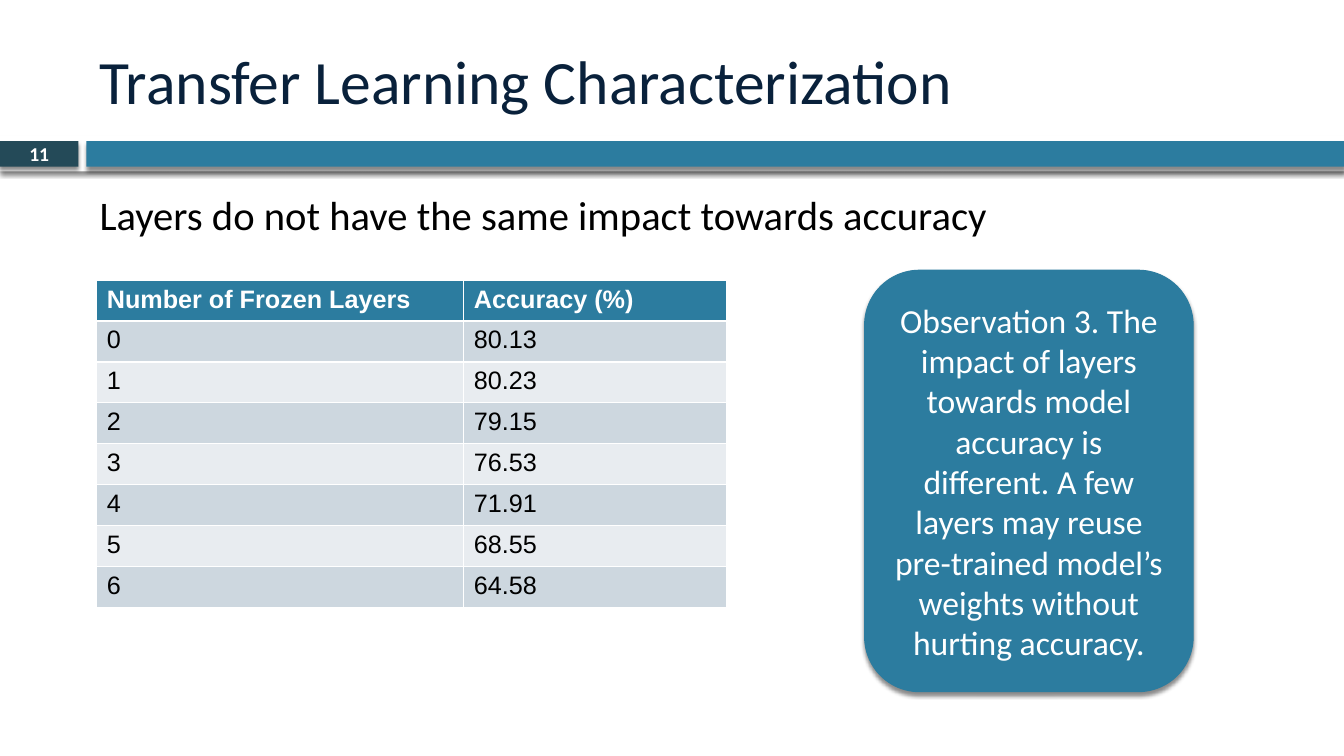
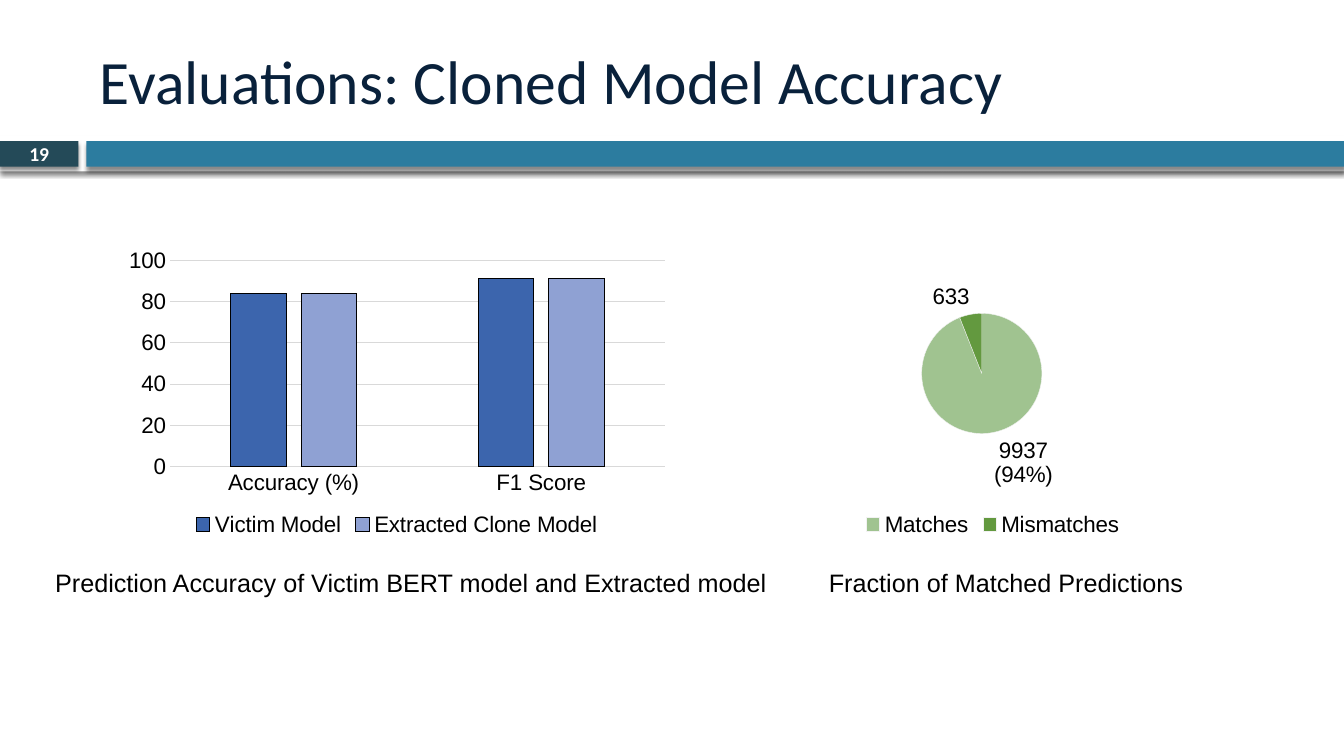
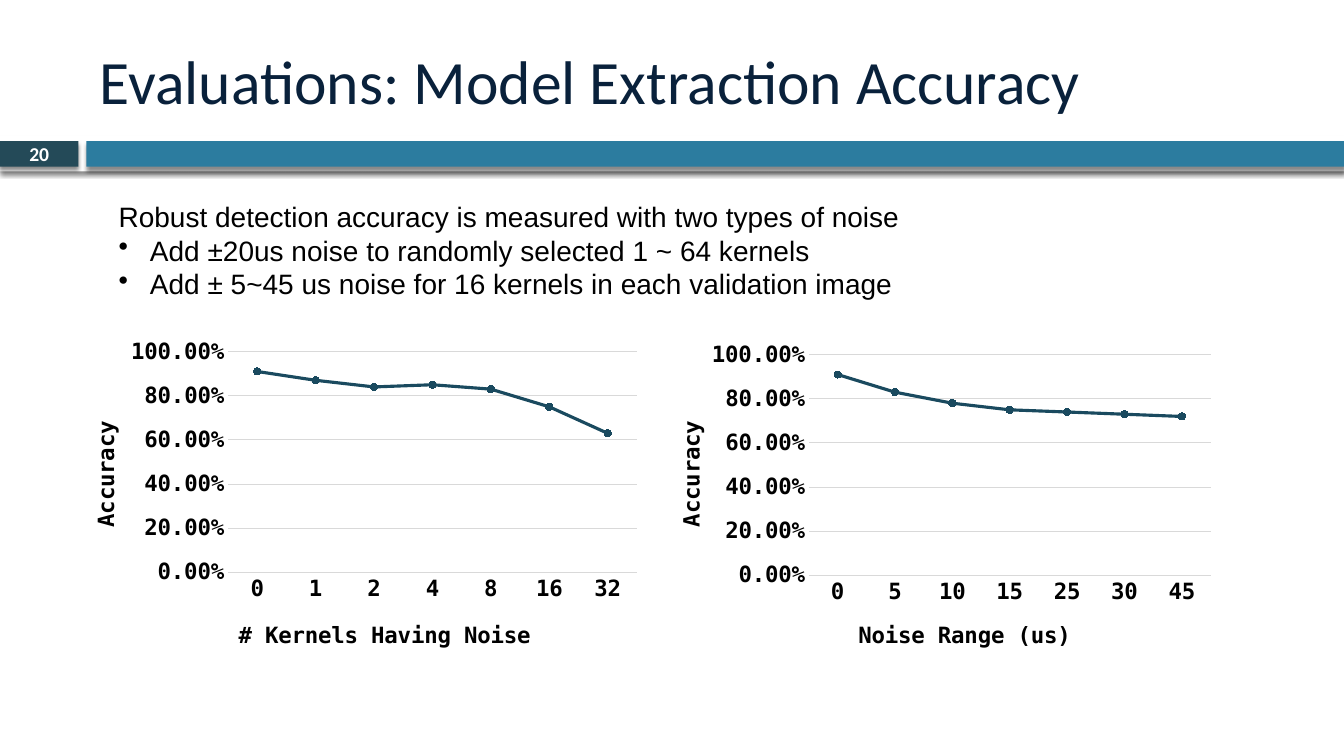
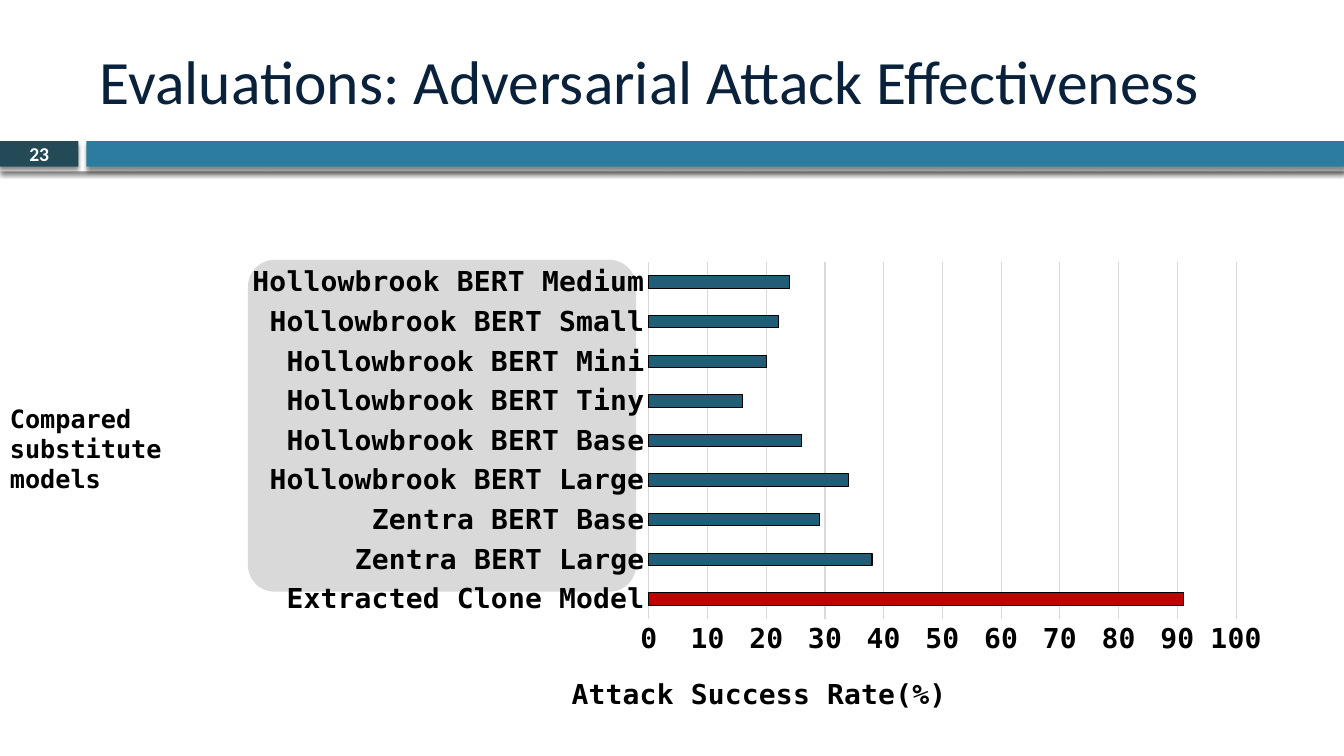
"""Builds four slides on transfer learning and model extraction results."""
from lxml import etree
from pptx import Presentation
from pptx.chart.data import CategoryChartData
from pptx.dml.color import RGBColor
from pptx.enum.chart import XL_CHART_TYPE, XL_LABEL_POSITION, XL_LEGEND_POSITION, XL_MARKER_STYLE, XL_TICK_MARK
from pptx.enum.shapes import MSO_SHAPE
from pptx.enum.text import MSO_ANCHOR, PP_ALIGN
from pptx.oxml import parse_xml
from pptx.oxml.ns import nsdecls, qn
from pptx.util import Cm, Pt

COLUMN, BAR = XL_CHART_TYPE.COLUMN_CLUSTERED, XL_CHART_TYPE.BAR_CLUSTERED
LINE, PIE = XL_CHART_TYPE.LINE_MARKERS, XL_CHART_TYPE.PIE
BEST_FIT, BOTTOM = XL_LABEL_POSITION.BEST_FIT, XL_LEGEND_POSITION.BOTTOM
CIRCLE, NO_TICK = XL_MARKER_STYLE.CIRCLE, XL_TICK_MARK.NONE
RECTANGLE, ROUNDED = MSO_SHAPE.RECTANGLE, MSO_SHAPE.ROUNDED_RECTANGLE
LEFT, CENTER = PP_ALIGN.LEFT, PP_ALIGN.CENTER
TOP, MIDDLE = MSO_ANCHOR.TOP, MSO_ANCHOR.MIDDLE

BLACK, WHITE, TEAL, DARK_TEAL, NAVY = "000000", "FFFFFF", "2C7C9F", "244A58", "09213B"
GRID, CURVE, BARS, RED = "D9D9D9", "1A4A5F", "215D77", "C00000"
HEADING, BODY, MONO = "Calibri", "Arial", "DejaVu Sans Mono"


def color(target, value):
    """Give a fill, or the colour of a font, one solid colour."""
    if hasattr(target, "solid"):
        target.solid()
        target.fore_color.rgb = RGBColor.from_string(value)
    else:
        target.color.rgb = RGBColor.from_string(value)


def add_chart(slide, kind, box, categories, series, font, size, bold=False):
    """Add a transparent chart without a title and return it."""
    data = CategoryChartData()
    data.categories = categories
    for name, values in series.items():
        data.add_series(name, values)
    chart = slide.shapes.add_chart(kind, *map(Cm, box), data).chart
    chart.has_title = False
    chart.has_legend = False
    chart.font.name, chart.font.size, chart.font.bold = font, Pt(size), bold
    color(chart.font, BLACK)
    chart.plots[0].vary_by_categories = kind == PIE
    chart.element.find(qn("c:chart")).addnext(parse_xml(
        f'<c:spPr {nsdecls("c", "a")}><a:noFill/><a:ln><a:noFill/></a:ln></c:spPr>'))
    return chart


presentation = Presentation()
presentation.slide_width, presentation.slide_height = Cm(33.87), Cm(19.05)
layout = presentation.slide_layouts[5]

headings = {
    11: "Transfer Learning Characterization",
    19: "Evaluations: Cloned Model Accuracy",
    20: "Evaluations: Model Extraction Accuracy",
    23: "Evaluations: Adversarial Attack Effectiveness",
}
texts = []
for number, heading in headings.items():
    slide = presentation.slides.add_slide(layout)
    title = slide.shapes.title
    title.left, title.top, title.width, title.height = map(Cm, (2.26, 0.64, 30.2, 2.74))
    title.text_frame.text = heading
    title.text_frame.vertical_anchor = MIDDLE
    paragraph = title.text_frame.paragraphs[0]
    paragraph.alignment = LEFT
    paragraph.font.name, paragraph.font.size = HEADING, Pt(44)
    color(paragraph.font, NAVY)
    texts.append((slide, (0, 3.53, 1.98, 0.69), [str(number)], HEADING, 14, True, WHITE, CENTER, MIDDLE))
layers_slide, clone_slide, noise_slide, attack_slide = presentation.slides

shadowed = []
for box, fill in [
    ((0, 3.43, 33.87, 0.89), WHITE),
    ((0, 3.56, 1.98, 0.64), DARK_TEAL),
    ((2.18, 3.56, 31.69, 0.64), TEAL),
]:
    band = layers_slide.shapes.add_shape(RECTANGLE, *map(Cm, box))
    color(band.fill, fill)
    band.line.fill.background()
    layout.shapes.element.append(band.element)
    shadowed.append(band)

observation = layers_slide.shapes.add_shape(ROUNDED, Cm(21.79), Cm(6.81), Cm(8.28), Cm(10.62))
color(observation.fill, TEAL)
color(observation.line.fill, TEAL)
observation.line.width = Pt(0.75)
observation.text_frame.word_wrap = True
observation.text_frame.vertical_anchor = MIDDLE
observation.text_frame.text = (
    "Observation 3. The impact of layers towards model accuracy is different. "
    "A few layers may reuse pre-trained model’s weights without hurting accuracy.")
paragraph = observation.text_frame.paragraphs[0]
paragraph.alignment = CENTER
paragraph.font.name, paragraph.font.size = HEADING, Pt(24)
color(paragraph.font, WHITE)
shadowed.append(observation)

for shape in shadowed:
    shape.shadow.inherit = False
    shape.element.spPr.find(qn("a:effectLst")).append(parse_xml(
        f'<a:outerShdw {nsdecls("a")} blurRad="38100" dist="30480" dir="5400000" rotWithShape="0">'
        '<a:srgbClr val="000000"><a:alpha val="45000"/></a:srgbClr></a:outerShdw>'))

accuracies = ["80.13", "80.23", "79.15", "76.53", "71.91", "68.55", "64.58"]
rows = [("Number of Frozen Layers", "Accuracy (%)")]
rows += [(str(frozen), accuracy) for frozen, accuracy in enumerate(accuracies)]
table = layers_slide.shapes.add_table(
    len(rows), 2, Cm(2.44), Cm(7.06), Cm(15.87), Cm(1.03 * len(rows))).table
table.columns[0].width, table.columns[1].width = Cm(9.25), Cm(6.62)
for row_index, row in enumerate(rows):
    for column_index, value in enumerate(row):
        cell = table.cell(row_index, column_index)
        cell.text = value
        color(cell.fill, TEAL if row_index == 0 else ("E8ECF0", "CDD7DF")[row_index % 2])
        font = cell.text_frame.paragraphs[0].font
        font.name, font.size, font.bold = BODY, Pt(18), row_index == 0
        color(font, BLACK if row_index else WHITE)

columns = add_chart(
    clone_slide, COLUMN, (2.97, 6.1, 14.07, 7.54), ["Accuracy (%)", "F1 Score"],
    {"Victim Model": [84, 91], "Extracted Clone Model": [84, 91]}, BODY, 16)
columns.plots[0].gap_width, columns.plots[0].overlap = 219, -27
for series, fill in zip(columns.plots[0].series, ("3C65AD", "8FA1D3")):
    color(series.format.fill, fill)
    color(series.format.line.fill, BLACK)
    series.format.line.width = Pt(0)

pie = add_chart(
    clone_slide, PIE, (20.7, 6.81, 8.64, 6.83), ["Matches", "Mismatches"],
    {"Series 1": [9937, 633]}, BODY, 16)
slices = pie.plots[0].series[0]
for index, fill in enumerate(("A0C390", "63993F")):
    point = slices.points[index]
    color(point.format.fill, fill)
    color(point.format.line.fill, "F2F2F2")
    point.format.line.width = Pt(0.25)
slices.data_labels.show_value = True
slices.data_labels.position = BEST_FIT
label = slices.points[0].data_label
label.text_frame.text = "9937 (94%)"
label.position = BEST_FIT
font = label.text_frame.paragraphs[0].font
font.name, font.size = BODY, Pt(16)
color(font, BLACK)

for chart in (columns, pie):
    chart.has_legend = True
    chart.legend.position = BOTTOM
    chart.legend.include_in_layout = False

axis_charts = [(columns, 100, 20, None, None, 16)]
placements = []
for box, categories, values, name, plot_place, name_place, accuracy_place in [
    ((1.24, 8.08, 16.1, 8.69), ["0", "1", "2", "4", "8", "16", "32"],
     [0.91, 0.87, 0.84, 0.85, 0.83, 0.75, 0.63], "# Kernels Having Noise",
     (0.28, 0.09, 0.64, 0.64), (0.29, 0.86), (0.06, 0.28)),
    ((15.65, 8.33, 16.33, 8.69), ["0", "5", "10", "15", "25", "30", "45"],
     [0.91, 0.83, 0.78, 0.75, 0.74, 0.73, 0.72], "Noise Range (us)",
     (0.29, 0.07, 0.62, 0.64), (0.36, 0.83), (0.08, 0.25)),
]:
    chart = add_chart(noise_slide, LINE, box, categories, {"Series 1": values}, MONO, 16, True)
    series = chart.plots[0].series[0]
    series.smooth = False
    color(series.format.line.fill, CURVE)
    series.format.line.width = Pt(2.25)
    series.marker.style, series.marker.size = CIRCLE, 5
    color(series.marker.format.fill, CURVE)
    color(series.marker.format.line.fill, CURVE)
    chart.value_axis.tick_labels.number_format = "0.00%"
    chart.value_axis.tick_labels.number_format_is_linked = False
    axis_charts.append((chart, 1, 0.2, name, "Accuracy", 16))
    placements.append((chart, plot_place, name_place, accuracy_place))

backdrop = attack_slide.shapes.add_shape(ROUNDED, Cm(6.25), Cm(6.55), Cm(9.78), Cm(8.36))
backdrop.adjustments[0] = 0.08
backdrop.shadow.inherit = False
color(backdrop.fill, GRID)
backdrop.line.fill.background()

models = ["Extracted Clone Model", "Zentra BERT Large", "Zentra BERT Base"]
models += [f"Hollowbrook BERT {size}" for size in ("Large", "Base", "Tiny", "Mini", "Small", "Medium")]
attacks = add_chart(
    attack_slide, BAR, (5.97, 6.02, 25.96, 12.09), models,
    {"Series 1": [91, 38, 29, 34, 26, 16, 20, 22, 24]}, MONO, 20, True)
attacks.plots[0].gap_width = 219
series = attacks.plots[0].series[0]
for styled, fill in ((series, BARS), (series.points[0], RED)):
    color(styled.format.fill, fill)
    color(styled.format.line.fill, BLACK)
    styled.format.line.width = Pt(0.75)
axis_charts.append((attacks, 100, 10, None, "Attack Success Rate(%)", 20))
placements.append((attacks, (0.4, 0.05, 0.57, 0.76), None, (0.32, 0.92)))

for chart, maximum, step, category_name, value_name, size in axis_charts:
    category_axis, value_axis = chart.category_axis, chart.value_axis
    value_axis.minimum_scale, value_axis.maximum_scale, value_axis.major_unit = 0, maximum, step
    value_axis.has_major_gridlines = True
    value_axis.format.line.fill.background()
    for line in (value_axis.major_gridlines.format.line, category_axis.format.line):
        color(line.fill, GRID)
        line.width = Pt(0.75)
    for axis, name in ((category_axis, category_name), (value_axis, value_name)):
        axis.major_tick_mark = axis.minor_tick_mark = NO_TICK
        axis.has_title = name is not None
        if name:
            frame = axis.axis_title.text_frame
            frame.text = name
            font = frame.paragraphs[0].font
            font.name, font.size, font.bold = MONO, Pt(size), True
            color(font, BLACK)
            if name == "Accuracy":
                axis.axis_title.element.find(".//" + qn("a:bodyPr")).set("rot", "-5400000")

for chart, plot_place, category_place, value_place in placements:
    plot_area = chart.element.find(".//" + qn("c:plotArea"))
    placed = [(plot_area, plot_place), (chart.value_axis.axis_title.element, value_place)]
    if category_place:
        placed.append((chart.category_axis.axis_title.element, category_place))
    for element, place in placed:
        place_layout = element.find(qn("c:layout"))
        if place_layout is None:
            place_layout = etree.Element(qn("c:layout"))
            element.insert(0, place_layout)
        manual = etree.SubElement(place_layout, qn("c:manualLayout"))
        settings = [("layoutTarget", "inner")] if element is plot_area else []
        settings += [("xMode", "edge"), ("yMode", "edge"), *zip("xywh", place)]
        for tag, value in settings:
            etree.SubElement(manual, qn(f"c:{tag}")).set("val", str(value))

texts += [
    (layers_slide, (2.26, 4.65, 29.46, 1.45), ["Layers do not have the same impact towards accuracy"],
     HEADING, 29, False, BLACK, LEFT, TOP),
    (clone_slide, (1.14, 14.17, 19, 0.97), ["Prediction Accuracy of Victim BERT model and Extracted model"],
     BODY, 18, False, BLACK, LEFT, TOP),
    (clone_slide, (20.64, 14.17, 11, 0.97), ["Fraction of Matched Predictions"],
     BODY, 18, False, BLACK, LEFT, TOP),
    (noise_slide, (2.74, 4.9, 29.21, 2.8),
     ["Robust detection accuracy is measured with two types of noise",
      "• Add ±20us noise to randomly selected 1 ~ 64 kernels",
      "• Add ± 5~45 us noise for 16 kernels in each validation image"],
     BODY, 20, False, BLACK, LEFT, TOP),
    (attack_slide, (0, 10.03, 6.5, 2.5), ["Compared", "substitute models"], MONO, 18, True, BLACK, LEFT, TOP),
]
for slide, box, lines, font_name, size, bold, text_color, alignment, anchor in texts:
    frame = slide.shapes.add_textbox(*map(Cm, box)).text_frame
    frame.word_wrap = True
    frame.vertical_anchor = anchor
    frame.text = "\n".join(line.removeprefix("• ") for line in lines)
    for paragraph, line in zip(frame.paragraphs, lines):
        paragraph.alignment = alignment
        paragraph.font.name, paragraph.font.size, paragraph.font.bold = font_name, Pt(size), bold
        color(paragraph.font, text_color)
        if line.startswith("• "):
            properties = paragraph._p.get_or_add_pPr()
            properties.set("marL", str(Cm(0.79)))
            properties.set("indent", str(-Cm(0.79)))
            bullet = parse_xml(f'<a:buChar {nsdecls("a")} char="•"/>')
            properties.find(qn("a:defRPr")).addprevious(bullet)

presentation.save("out.pptx")
